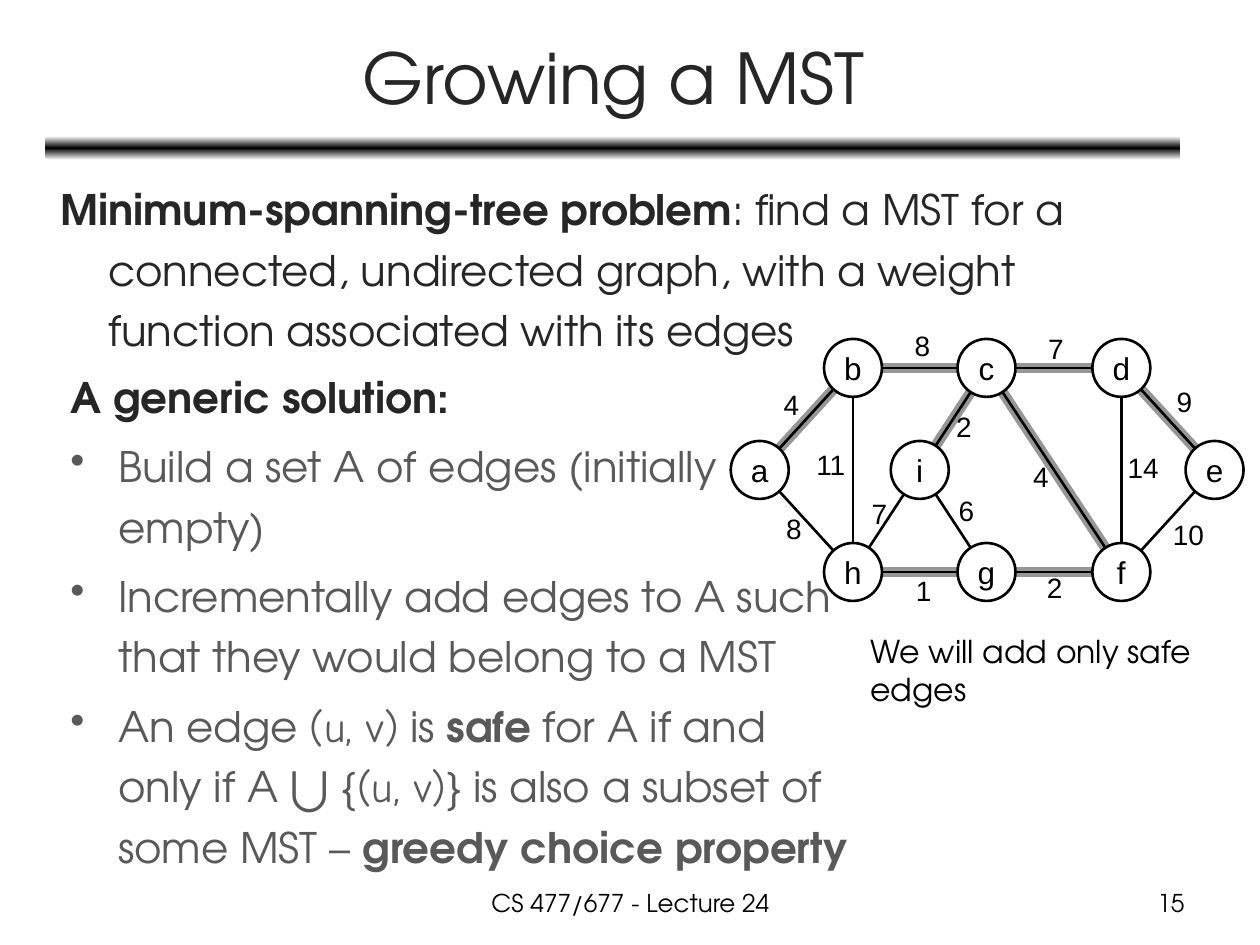
from copy import deepcopy
from dataclasses import dataclass
from math import hypot

from lxml import etree
from pptx import Presentation
from pptx.dml.color import RGBColor
from pptx.enum.shapes import MSO_CONNECTOR, MSO_SHAPE
from pptx.enum.text import MSO_ANCHOR, PP_ALIGN
from pptx.oxml.ns import qn
from pptx.util import Inches, Pt

LEFT, CENTER, RIGHT = PP_ALIGN.LEFT, PP_ALIGN.CENTER, PP_ALIGN.RIGHT
TOP, MIDDLE = MSO_ANCHOR.TOP, MSO_ANCHOR.MIDDLE
STRAIGHT = MSO_CONNECTOR.STRAIGHT


@dataclass(frozen=True)
class Theme:
    black = RGBColor(0, 0, 0)
    white = RGBColor(255, 255, 255)
    dark = RGBColor(0x26, 0x26, 0x26)
    gray = RGBColor(0x59, 0x59, 0x59)
    highlight = RGBColor(0x96, 0x96, 0x96)
    text_font = "TeX Gyre Adventor"
    math_font = "Comic Neue"
    graph_font = "Arial"
    title_size = Pt(40)
    body_size = Pt(24)
    node_size = Pt(18)
    weight_size = Pt(16)
    footer_size = Pt(14)
    paragraph_gap = Pt(5)


theme = Theme()


def write_paragraph(paragraph, runs, size, color, font=theme.text_font,
                    align=LEFT, hanging=False, bullet=False):
    """Fill a paragraph with (text, style) runs; style is "", "bold" or "math"."""
    paragraph.alignment = align
    if hanging:
        paragraph.line_spacing = 1.2
        properties = paragraph._p.get_or_add_pPr()
        properties.set("marL", str(Inches(0.38)))
        properties.set("indent", str(Inches(-0.38)))
        if bullet:
            etree.SubElement(properties, qn("a:buChar")).set("char", "•")
    paragraph.font.size = size
    paragraph.font.color.rgb = color
    paragraph.font.name = font
    for text, style in runs:
        run = paragraph.add_run()
        run.text = text
        if style == "bold":
            run.font.bold = True
        elif style == "math":
            run.font.name = theme.math_font


def add_text_frame(left, top, width, height, anchor=TOP, wrap=True):
    box = slide.shapes.add_textbox(Inches(left), Inches(top), Inches(width), Inches(height))
    box.text_frame.word_wrap = wrap
    box.text_frame.vertical_anchor = anchor
    return box.text_frame


presentation = Presentation()
presentation.slide_width, presentation.slide_height = Inches(10), Inches(7.5)
slide = presentation.slides.add_slide(presentation.slide_layouts[6])

# Bar under the title, fading from black to white above and below
bar = slide.shapes.add_shape(
    MSO_SHAPE.ROUNDED_RECTANGLE, Inches(0.36), Inches(1.08), Inches(9.01), Inches(0.19))
bar.shadow.inherit = False
bar.line.fill.background()
bar.fill.gradient()
bar.fill.gradient_angle = 90
first_stop, last_stop = bar.fill.gradient_stops
first_stop.color.rgb = theme.white
first_stop.position = 0
last_stop.color.rgb = theme.black
last_stop.position = 0.5
middle_element = bar._element.spPr.findall(".//" + qn("a:gs"))[1]
middle_element.addprevious(deepcopy(middle_element))
last_stop.color.rgb = theme.white
last_stop.position = 1

# Title, problem statement, remark and footer: place, runs, size, colour, align, anchor, hanging
single_texts = [
    ((0.37, 0.11, 9, 0.99), [("Growing a MST", "")],
     theme.title_size, theme.dark, CENTER, MIDDLE, False),
    ((0.38, 1.33, 9, 1.59),
     [("Minimum-spanning-tree problem", "bold"),
      (": find a MST for a connected, undirected graph, with a weight "
       "function associated with its edges", "")],
     theme.body_size, theme.dark, LEFT, TOP, True),
    ((6.81, 4.97, 2.8, 0.71), [("We will add only safe edges", "")],
     theme.node_size, theme.black, LEFT, TOP, False),
    ((3.42, 7, 3.17, 0.35), [("CS 477/677 - Lecture 24", "")],
     theme.footer_size, theme.black, CENTER, TOP, False),
    ((7.17, 7, 2.33, 0.35), [("15", "")],
     theme.footer_size, theme.black, RIGHT, TOP, False),
]
for place, runs, size, color, align, anchor, hanging in single_texts:
    frame = add_text_frame(*place, anchor=anchor)
    write_paragraph(frame.paragraphs[0], runs, size, color, align=align, hanging=hanging)

# Generic solution: a heading and its bullets
solution = [
    [("A generic solution:", "bold")],
    [("Build a set A of edges (initially empty)", "")],
    [("Incrementally add edges to A such that they would belong to a MST", "")],
    [("An edge ", ""), ("(u, v)", "math"), (" is ", ""), ("safe ", "bold"),
     ("for A if and only if A ⋃ {", ""), ("(u, v)", "math"),
     ("} is also a subset of some MST – ", ""), ("greedy choice property", "bold")],
]
frame = add_text_frame(0.46, 2.82, 6.41, 4.29)
for index, runs in enumerate(solution):
    paragraph = frame.add_paragraph() if index else frame.paragraphs[0]
    if index:
        paragraph.space_before = theme.paragraph_gap
    write_paragraph(paragraph, runs, theme.body_size, theme.gray if index else theme.dark,
                    hanging=True, bullet=index > 0)

# Graph: node centres, then edges as (ends, weight, weight left, weight top, in the tree)
radius = 0.23
upper, middle, lower = 2.92, 3.73, 4.54
nodes = {
    "a": (6.03, middle), "b": (6.77, upper), "c": (7.83, upper),
    "d": (8.9, upper), "e": (9.64, middle), "h": (6.77, lower),
    "g": (7.83, lower), "f": (8.9, lower), "i": (7.3, middle),
}
edges = [
    ("ab", 4, 6.12, 3.03, True), ("bc", 8, 7.16, 2.56, True),
    ("cd", 7, 8.22, 2.58, True), ("ah", 8, 6.14, 4.01, False),
    ("bh", 11, 6.38, 3.5, False), ("hg", 1, 7.17, 4.5, True),
    ("gf", 2, 8.21, 4.48, True), ("hi", 7, 6.82, 3.89, False),
    ("ic", 2, 7.49, 3.2, True), ("cf", 4, 8.1, 3.6, True),
    ("df", 14, 8.85, 3.53, False), ("de", 9, 9.24, 3, True),
    ("fe", 10, 9.21, 4.06, False), ("ig", 6, 7.51, 3.87, False),
]

for (start, end), weight, label_left, label_top, in_tree in edges:
    (x1, y1), (x2, y2) = nodes[start], nodes[end]
    trim = radius / hypot(x2 - x1, y2 - y1)
    dx, dy = (x2 - x1) * trim, (y2 - y1) * trim
    strokes = [(theme.highlight, 6)] if in_tree else []
    for color, width in strokes + [(theme.black, 1.5)]:
        edge = slide.shapes.add_connector(
            STRAIGHT, Inches(x1 + dx), Inches(y1 + dy), Inches(x2 - dx), Inches(y2 - dy))
        edge.line.color.rgb = color
        edge.line.width = Pt(width)
        etree.SubElement(edge._element.spPr, qn("a:effectLst"))

for name, (x, y) in nodes.items():
    node = slide.shapes.add_shape(
        MSO_SHAPE.OVAL, Inches(x - radius), Inches(y - radius),
        Inches(2 * radius), Inches(2 * radius))
    node.shadow.inherit = False
    node.fill.background()
    node.line.color.rgb = theme.black
    node.line.width = Pt(1.5)
    node.text_frame.word_wrap = False
    node.text_frame.vertical_anchor = MIDDLE
    write_paragraph(node.text_frame.paragraphs[0], [(name, "")], theme.node_size,
                    theme.black, theme.graph_font, CENTER)

for ends, weight, label_left, label_top, in_tree in edges:
    label_width = 0.45 if weight > 9 else 0.32
    frame = add_text_frame(label_left, label_top, label_width, 0.37, wrap=False)
    write_paragraph(frame.paragraphs[0], [(str(weight), "")], theme.weight_size,
                    theme.black, theme.graph_font)

presentation.save("out.pptx")
